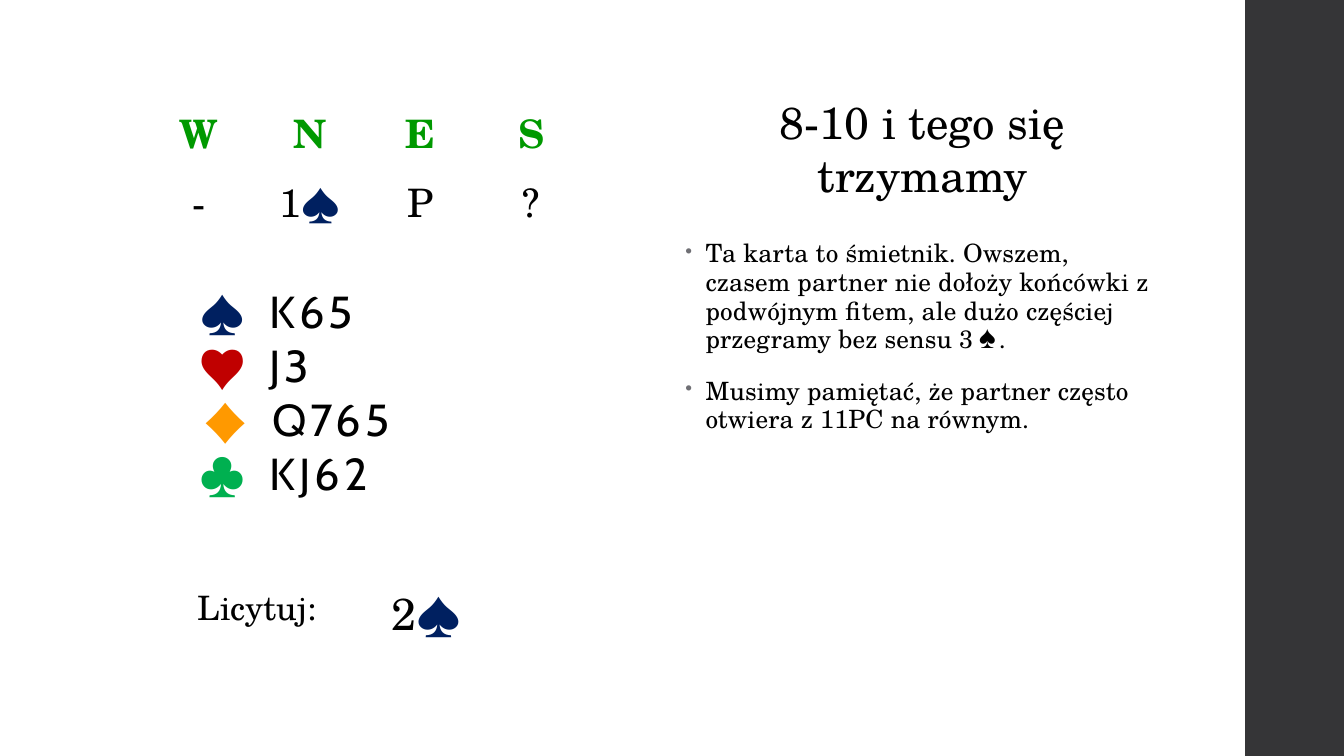
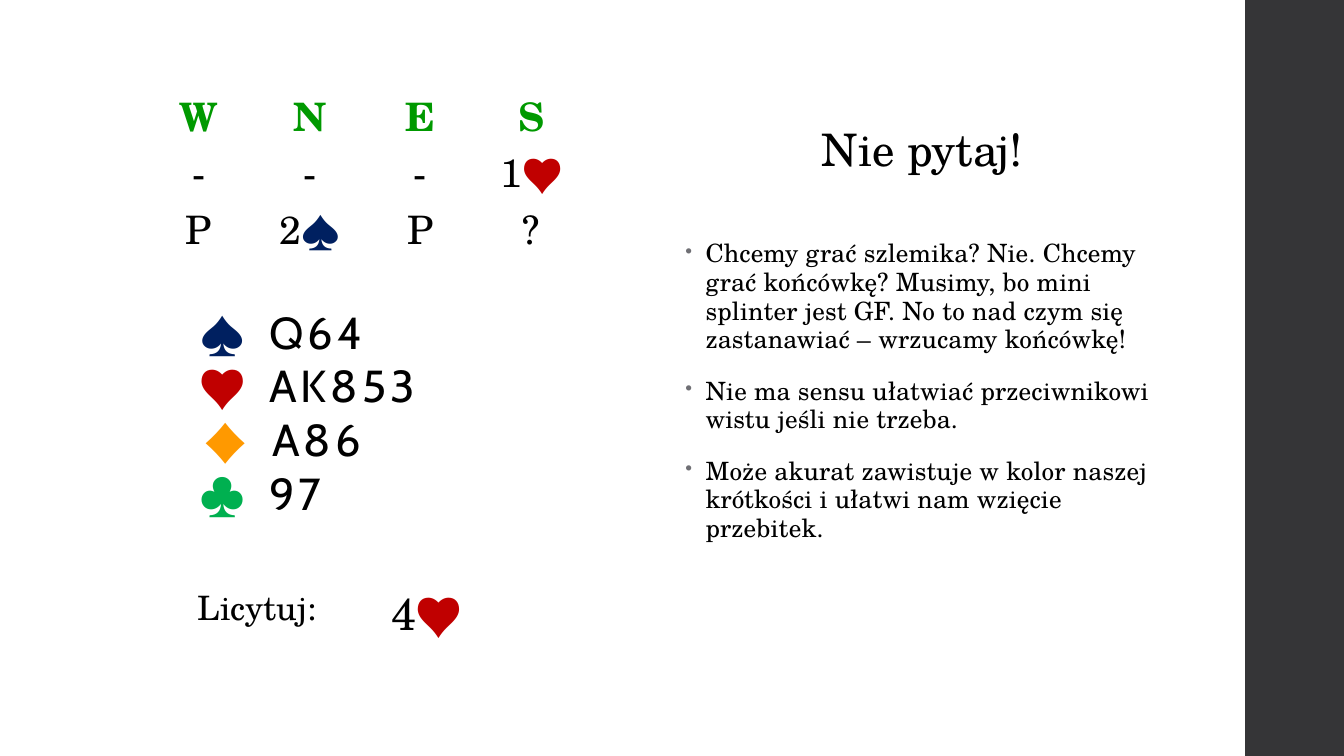
from pptx import Presentation
from pptx.dml.color import RGBColor
from pptx.enum.shapes import MSO_SHAPE
from pptx.enum.text import MSO_ANCHOR, PP_ALIGN
from pptx.oxml.ns import qn
from pptx.util import Inches, Pt
from lxml import etree

CENTER, LEFT = PP_ALIGN.CENTER, PP_ALIGN.LEFT
MIDDLE, TOP = MSO_ANCHOR.MIDDLE, MSO_ANCHOR.TOP

BLACK = RGBColor(0x00, 0x00, 0x00)
BAND = RGBColor(0x35, 0x35, 0x37)
HEADER_GREEN = RGBColor(0x00, 0x99, 0x00)
BULLET_GREY = RGBColor(0x6F, 0x6F, 0x74)
SUIT_COLORS = {
    "♠": RGBColor(0x00, 0x20, 0x60),
    "♥": RGBColor(0xC0, 0x00, 0x00),
    "♦": RGBColor(0xFF, 0x99, 0x00),
    "♣": RGBColor(0x00, 0xB0, 0x50),
}
SERIF, SANS = "TeX Gyre Schola", "Cabin"

SLIDE_WIDTH, SLIDE_HEIGHT = 13.33, 7.5
BAND_LEFT = 12.35
TEXT_LEFT, TEXT_WIDTH = 6.7, 4.9
ROW_HEIGHT = 0.41
SEATS = ["W", "N", "E", "S"]

DEALS = [
    {
        "title": "8-10 i tego się trzymamy",
        "auction": [["-", "1♠", "P", "?"]],
        "auction_top": 0.97,
        "hand": ["K65", "J3", "Q765", "KJ62"],
        "hand_top": 2.77,
        "answer": "2♠",
        "comments": [
            "Ta karta to śmietnik. Owszem, czasem partner nie dołoży końcówki z "
            "podwójnym fitem, ale dużo częściej przegramy bez sensu 3♠.",
            "Musimy pamiętać, że partner często otwiera z 11PC na równym.",
        ],
    },
    {
        "title": "Nie pytaj!",
        "auction": [["-", "-", "-", "1♥"], ["P", "2♠", "P", "?"]],
        "auction_top": 0.8,
        "hand": ["Q64", "AK853", "A86", "97"],
        "hand_top": 2.97,
        "answer": "4♥",
        "comments": [
            "Chcemy grać szlemika? Nie. Chcemy grać końcówkę? Musimy, bo mini "
            "splinter jest GF. No to nad czym się zastanawiać – wrzucamy końcówkę!",
            "Nie ma sensu ułatwiać przeciwnikowi wistu jeśli nie trzeba.",
            "Może akurat zawistuje w kolor naszej krótkości i ułatwi nam wzięcie "
            "przebitek.",
        ],
    },
]


def add_run(paragraph, text, size, font=SERIF, color=BLACK, bold=False, spacing=0):
    """Add a run; spacing is the extra gap between letters in points."""
    run = paragraph.add_run()
    run.text = text
    run.font.size = Pt(size)
    run.font.name = font
    run.font.bold = bold
    run.font.color.rgb = color
    if spacing:
        run.font._element.set("spc", str(round(spacing * 100)))


def add_text_frame(slide, left, top, width, height, anchor=TOP):
    box = slide.shapes.add_textbox(
        Inches(left), Inches(top), Inches(width), Inches(height))
    frame = box.text_frame
    frame.word_wrap = True
    frame.vertical_anchor = anchor
    return frame


def paragraphs_for(frame, items):
    """Yield each item with its own paragraph, reusing the frame's first one."""
    for index, item in enumerate(items):
        yield (frame.add_paragraph() if index else frame.paragraphs[0]), item


def add_plain_table(slide, left, top, columns, row_count):
    shape = slide.shapes.add_table(
        row_count, len(columns), Inches(left), Inches(top),
        Inches(sum(columns)), Inches(ROW_HEIGHT * row_count))
    table = shape.table
    table.first_row = table.horz_banding = False
    for column, width in zip(table.columns, columns):
        column.width = Inches(width)
    for cell in table.iter_cells():
        cell.fill.background()
        cell.vertical_anchor = MIDDLE
    return table


def fill_cell(cell, text, size, align=CENTER, color=BLACK, bold=False):
    """Write a call, with any suit symbol in its own colour."""
    paragraph = cell.text_frame.paragraphs[0]
    paragraph.alignment = align
    suit = text[-1] if text[-1] in SUIT_COLORS else ""
    add_run(paragraph, text.removesuffix(suit), size, color=color, bold=bold)
    if suit:
        add_run(paragraph, suit, size, SANS, SUIT_COLORS[suit], spacing=3)


def add_band(slide):
    band = slide.shapes.add_shape(
        MSO_SHAPE.RECTANGLE, Inches(BAND_LEFT), 0,
        Inches(SLIDE_WIDTH - BAND_LEFT), Inches(SLIDE_HEIGHT))
    band.shadow.inherit = False
    band.fill.solid()
    band.fill.fore_color.rgb = BAND
    band.line.fill.background()


def add_auction(slide, top, calls):
    table = add_plain_table(slide, 1.42, top, [1.1] * len(SEATS), 1 + len(calls))
    for column, seat in enumerate(SEATS):
        fill_cell(table.cell(0, column), seat, 28, color=HEADER_GREEN, bold=True)
    for row, bids in enumerate(calls, start=1):
        for column, bid in enumerate(bids):
            fill_cell(table.cell(row, column), bid, 28)


def add_bullet(paragraph):
    properties = paragraph._p.get_or_add_pPr()
    properties.set("marL", str(Inches(0.2)))
    properties.set("indent", str(-Inches(0.2)))
    color = etree.SubElement(properties, qn("a:buClr"))
    etree.SubElement(color, qn("a:srgbClr"), val=str(BULLET_GREY))
    etree.SubElement(properties, qn("a:buSzPct"), val="80000")
    etree.SubElement(properties, qn("a:buChar"), char="•")


def add_comments(slide, comments):
    frame = add_text_frame(slide, TEXT_LEFT, 2.33, TEXT_WIDTH, 4.51)
    for paragraph, comment in paragraphs_for(frame, comments):
        add_bullet(paragraph)
        paragraph.line_spacing = 0.95
        paragraph.space_before = Pt(0 if comment == comments[0] else 14)
        paragraph.space_after = Pt(2)
        add_run(paragraph, comment, 18, spacing=0.1)


def add_hand(slide, top, holdings):
    frame = add_text_frame(slide, 1.87, top, 3.49, 2.26)
    for paragraph, (suit, cards) in paragraphs_for(frame, zip(SUIT_COLORS, holdings)):
        properties = paragraph._p.get_or_add_pPr()
        if suit == "♦":
            properties.set("marL", str(Inches(0.03)))
        tabs = etree.SubElement(properties, qn("a:tabLst"))
        for position, align in ((0.5, "r"), (0.7, "l")):
            etree.SubElement(tabs, qn("a:tab"), pos=str(Inches(position)), algn=align)
        add_run(paragraph, f"\t{suit}\t", 32, SANS, SUIT_COLORS[suit], spacing=3)
        add_run(paragraph, cards, 32, SANS, spacing=3)


def add_title(slide, title):
    frame = add_text_frame(slide, TEXT_LEFT, 0.88, TEXT_WIDTH, 1.18, MIDDLE)
    paragraph = frame.paragraphs[0]
    paragraph.alignment = CENTER
    add_run(paragraph, title, 32)


def add_answer(slide, answer):
    table = add_plain_table(slide, 1.32, 5.7, [2.46, 1.58], 1)
    fill_cell(table.cell(0, 0), "Licytuj:", 24)
    fill_cell(table.cell(0, 1), answer, 32, LEFT)


def main():
    presentation = Presentation()
    presentation.slide_width = Inches(SLIDE_WIDTH)
    presentation.slide_height = Inches(SLIDE_HEIGHT)
    for deal in DEALS:
        slide = presentation.slides.add_slide(presentation.slide_layouts[6])
        add_band(slide)
        add_auction(slide, deal["auction_top"], deal["auction"])
        add_comments(slide, deal["comments"])
        add_hand(slide, deal["hand_top"], deal["hand"])
        add_title(slide, deal["title"])
        add_answer(slide, deal["answer"])
    presentation.save("out.pptx")


if __name__ == "__main__":
    main()
